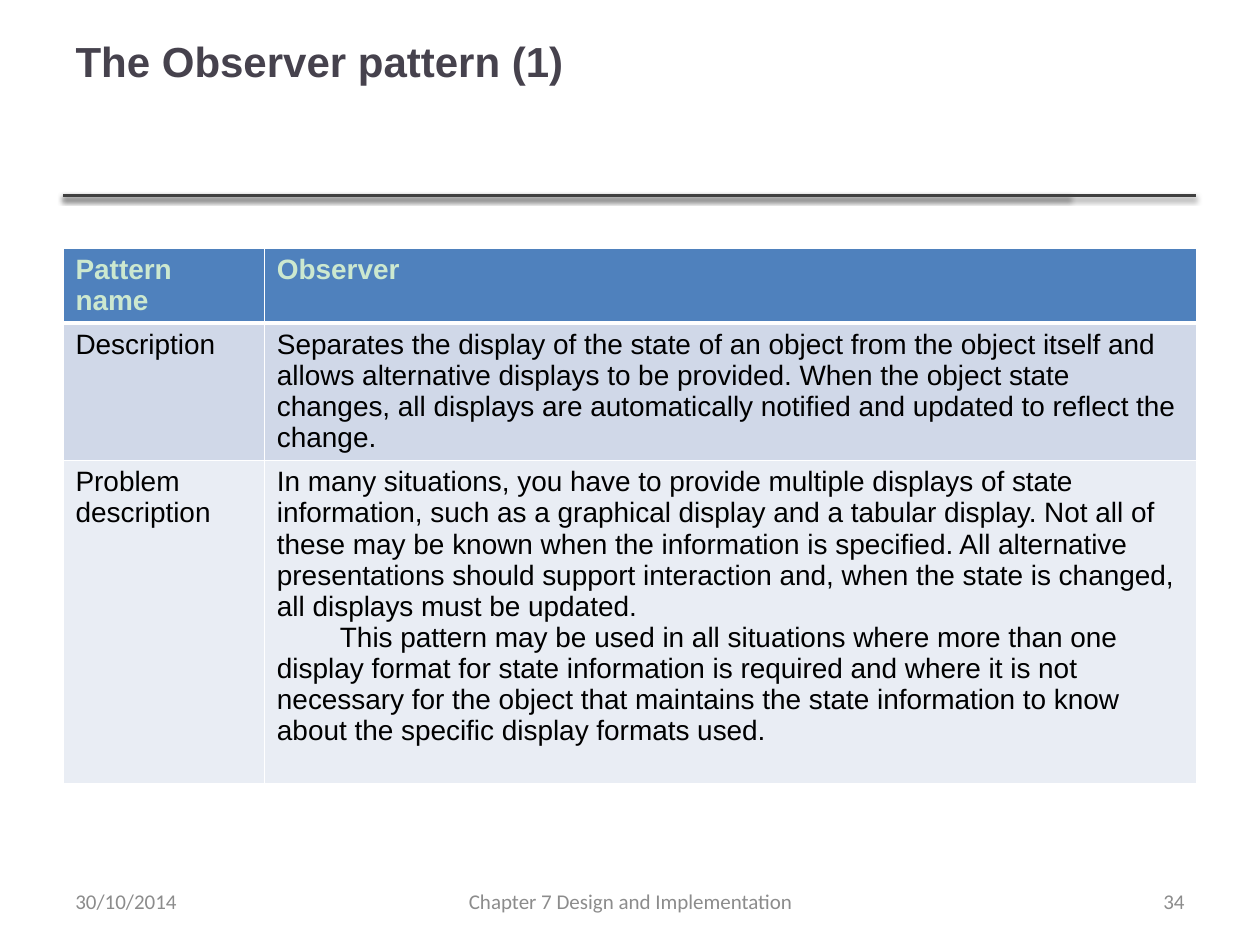
"""Build the Observer pattern slide with its rule, pattern table and footer."""
from typing import NamedTuple

from lxml.etree import SubElement
from pptx import Presentation
from pptx.dml.color import RGBColor
from pptx.enum.shapes import MSO_CONNECTOR
from pptx.enum.text import MSO_ANCHOR, PP_ALIGN
from pptx.oxml.ns import qn
from pptx.util import Cm, Pt

WHITE = RGBColor(0xFF, 0xFF, 0xFF)
BLACK = RGBColor(0x00, 0x00, 0x00)
TITLE_GREY = RGBColor(0x46, 0x42, 0x4D)
RULE_GREY = RGBColor(0x40, 0x40, 0x40)
FOOTER_GREY = RGBColor(0x8C, 0x8C, 0x8C)
PALE_GREEN = RGBColor(0xCC, 0xE8, 0xCF)
HEADER_BLUE = RGBColor(0x4F, 0x81, 0xBD)
BAND_DARK = RGBColor(0xD0, 0xD8, 0xE8)
BAND_LIGHT = RGBColor(0xE9, 0xED, 0xF4)

MARGIN = Cm(1.27)
CONTENT_WIDTH = Cm(22.86)
COLUMN_WIDTHS = (Cm(4.06), Cm(18.8))
INDENT = Cm(1.27)

TITLE_FONT = {"name": "Arial", "size": Pt(24), "bold": True}
HEADER_FONT = {"name": "Arial", "size": Pt(16), "bold": True}
BODY_FONT = {"name": "Arial", "size": Pt(16), "bold": False}
FOOTER_FONT = {"name": "Calibri", "size": Pt(12)}


class PatternRow(NamedTuple):
    label: str
    paragraphs: tuple[str, ...]
    height: int
    fill: RGBColor
    font: dict
    color: RGBColor
    top_border: float
    bottom_border: float


class FooterItem(NamedTuple):
    text: str
    left: int
    width: int
    align: PP_ALIGN


PATTERN_ROWS = (
    PatternRow("Pattern name", ("Observer",), Cm(1.48), HEADER_BLUE,
               HEADER_FONT, PALE_GREEN, 1, 3),
    PatternRow("Description", (
        "Separates the display of the state of an object from the object itself and "
        "allows alternative displays to be provided. When the object state changes, "
        "all displays are automatically notified and updated to reflect the change.",
    ), Cm(2.77), BAND_DARK, BODY_FONT, BLACK, 3, 1),
    PatternRow("Problem description", (
        "In many situations, you have to provide multiple displays of state "
        "information, such as a graphical display and a tabular display. Not all of "
        "these may be known when the information is specified. All alternative "
        "presentations should support interaction and, when the state is changed, "
        "all displays must be updated.",
        "This pattern may be used in all situations where more than one display "
        "format for state information is required and where it is not necessary for "
        "the object that maintains the state information to know about the specific "
        "display formats used.",
    ), Cm(6.53), BAND_LIGHT, BODY_FONT, BLACK, 1, 1),
)

FOOTER_ITEMS = (
    FooterItem("Chapter 7 Design and Implementation", Cm(8.69), Cm(8.05), PP_ALIGN.CENTER),
    FooterItem("34", Cm(18.21), Cm(5.92), PP_ALIGN.RIGHT),
    FooterItem("30/10/2014", MARGIN, Cm(5.92), PP_ALIGN.LEFT),
)


def format_font(paragraph, font_values: dict, color: RGBColor) -> None:
    for attribute, value in font_values.items():
        setattr(paragraph.font, attribute, value)
    paragraph.font.color.rgb = color


def draw_rule(slide, right: int) -> None:
    rule = slide.shapes.add_connector(
        MSO_CONNECTOR.STRAIGHT, MARGIN, Cm(3.94), right, Cm(3.94))
    rule.line.color.rgb = RULE_GREY
    rule.line.width = Pt(2)
    effects = SubElement(rule._element.spPr, qn("a:effectLst"))
    shadow = SubElement(effects, qn("a:outerShdw"), blurRad=str(Pt(3.1)),
                        dist=str(Pt(1.6)), dir="5400000", rotWithShape="0")
    shade = SubElement(shadow, qn("a:srgbClr"), val=str(BLACK))
    SubElement(shade, qn("a:alpha"), val="38000")


def draw_title(slide, text: str) -> None:
    title = slide.shapes.title
    title.left, title.top = MARGIN, Cm(-0.36)
    title.width, title.height = CONTENT_WIDTH, Cm(3.18)
    title.text_frame.text = text
    title.text_frame.vertical_anchor = MSO_ANCHOR.MIDDLE
    heading = title.text_frame.paragraphs[0]
    heading.alignment = PP_ALIGN.LEFT
    format_font(heading, TITLE_FONT, TITLE_GREY)


def set_borders(cell, widths: dict[str, float]) -> None:
    properties = cell._tc.get_or_add_tcPr()
    for side, width in widths.items():
        border = SubElement(properties, qn(f"a:ln{side}"), w=str(Pt(width)))
        paint = SubElement(border, qn("a:solidFill"))
        SubElement(paint, qn("a:srgbClr"), val=str(WHITE))


def fill_cell(cell, paragraphs: tuple[str, ...], row: PatternRow) -> None:
    set_borders(cell, {"L": 1, "R": 1, "T": row.top_border, "B": row.bottom_border})
    cell.fill.solid()
    cell.fill.fore_color.rgb = row.fill
    cell.text = "\n".join(paragraphs)
    for index, paragraph in enumerate(cell.text_frame.paragraphs):
        if index:
            paragraph._p.get_or_add_pPr().set("indent", str(INDENT))
        format_font(paragraph, row.font, row.color)


def draw_table(slide, rows: tuple[PatternRow, ...]) -> None:
    table = slide.shapes.add_table(
        len(rows), len(COLUMN_WIDTHS), MARGIN, Cm(5), CONTENT_WIDTH,
        sum(row.height for row in rows)).table
    for column, width in zip(table.columns, COLUMN_WIDTHS):
        column.width = width
    for table_row, row in zip(table.rows, rows):
        table_row.height = row.height
        for cell, paragraphs in zip(table_row.cells, ((row.label,), row.paragraphs)):
            fill_cell(cell, paragraphs, row)


def draw_footer_item(slide, item: FooterItem) -> None:
    frame = slide.shapes.add_textbox(item.left, Cm(17.65), item.width, Cm(1.02)).text_frame
    frame.word_wrap = True
    frame.vertical_anchor = MSO_ANCHOR.MIDDLE
    frame.text = item.text
    frame.paragraphs[0].alignment = item.align
    format_font(frame.paragraphs[0], FOOTER_FONT, FOOTER_GREY)


def main() -> None:
    presentation = Presentation()
    presentation.slide_width, presentation.slide_height = Cm(25.4), Cm(19.05)
    slide = presentation.slides.add_slide(presentation.slide_layouts.get_by_name("Title Only"))
    slide.background.fill.solid()
    slide.background.fill.fore_color.rgb = WHITE
    for right in (Cm(21.56), Cm(24.1)):
        draw_rule(slide, right)
    draw_title(slide, "The Observer pattern (1)")
    draw_table(slide, PATTERN_ROWS)
    for item in FOOTER_ITEMS:
        draw_footer_item(slide, item)
    presentation.save("out.pptx")


if __name__ == "__main__":
    main()
